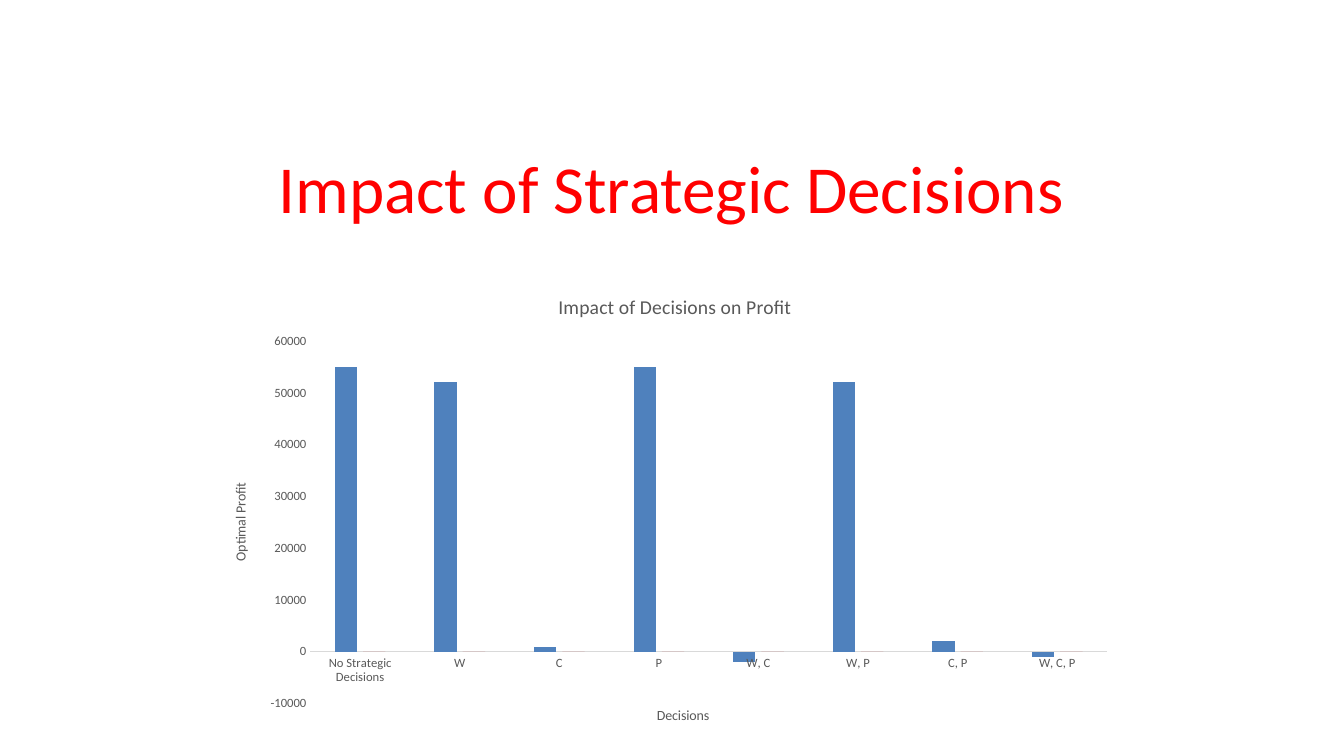
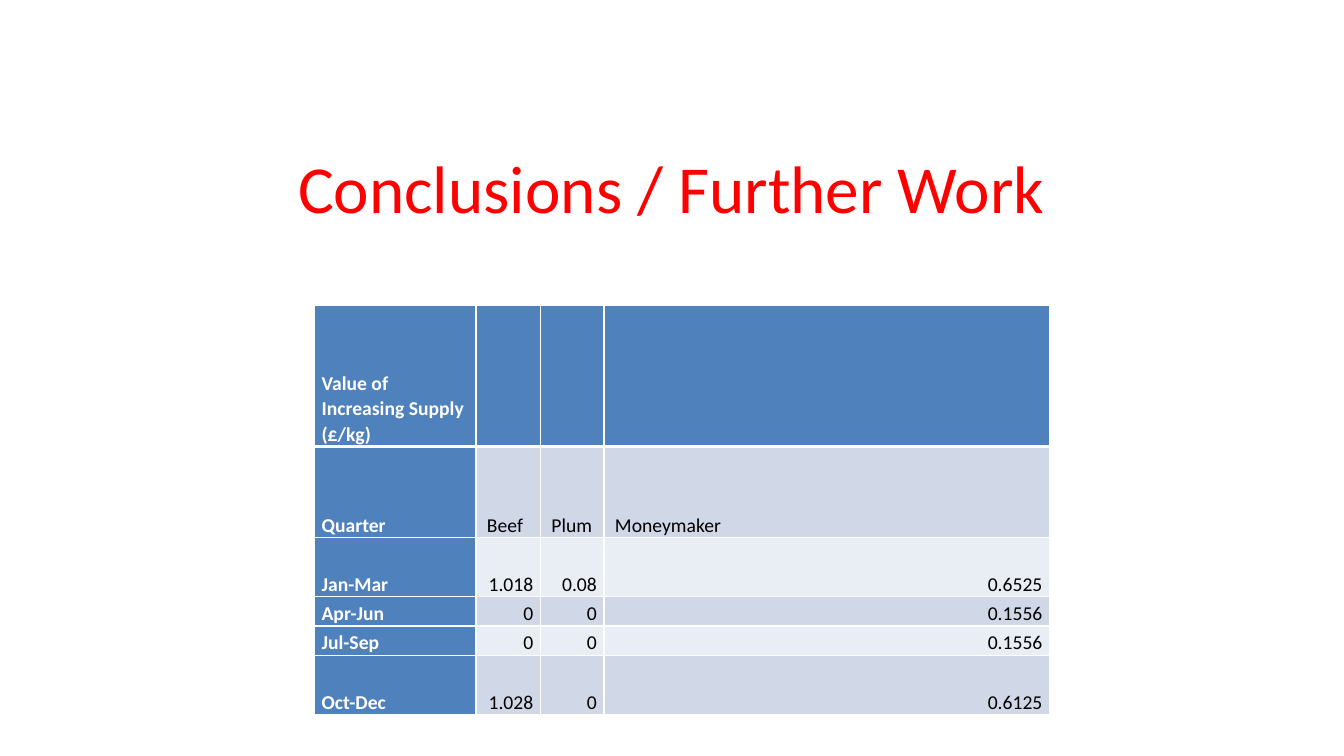
import pptx
import pptx.chart.data
import pptx.dml.color
import pptx.enum.chart
import pptx.enum.text
import pptx.oxml
import pptx.oxml.ns
import pptx.util
from lxml import etree

Inches = pptx.util.Inches
Pt = pptx.util.Pt
Color = pptx.dml.color.RGBColor.from_string
Align = pptx.enum.text.PP_ALIGN
Anchor = pptx.enum.text.MSO_ANCHOR
qn = pptx.oxml.ns.qn


class Theme:
    font = "Calibri"
    title = {"name": font, "size": Pt(48), "bold": False, "color": "FF0000"}
    chart_title = {"name": font, "size": Pt(14), "bold": False, "color": "595959"}
    axis_title = chart_title | {"size": Pt(10)}
    axis_labels = chart_title | {"size": Pt(9)}
    table_body = {"name": font, "size": Pt(14), "bold": False, "color": "000000"}
    table_head = table_body | {"bold": True, "color": "FFFFFF"}
    accent = "4F81BD"
    second = "C0504D"
    axis_line = "D9D9D9"
    bands = ("D0D8E8", "E9EDF4")
    border = "FFFFFF"


def set_font(font, style):
    for name, value in style.items():
        if name == "color":
            font.color.rgb = Color(value)
        else:
            setattr(font, name, value)


def place_in_chart(element, position, **values):
    """Give a chart part a manual layout, as fractions of the chart."""
    old_layout = element.find(qn("c:layout"))
    if old_layout is not None:
        element.remove(old_layout)
    layout = etree.Element(qn("c:layout"))
    manual = etree.SubElement(layout, qn("c:manualLayout"))
    for name, value in values.items():
        etree.SubElement(manual, qn(f"c:{name}")).set("val", str(value))
    element.insert(position, layout)


presentation = pptx.Presentation()
presentation.slide_width = Inches(13.33)
presentation.slide_height = Inches(7.5)

# Slides and their shared title
slides = []
for title in ("Impact of Strategic Decisions", "Conclusions / Further Work"):
    slide = presentation.slides.add_slide(presentation.slide_layouts[6])
    title_box = slide.shapes.add_textbox(Inches(0.65), Inches(1.3), Inches(12.02), Inches(1.11))
    frame = title_box.text_frame
    frame.word_wrap = True
    frame.vertical_anchor = Anchor.MIDDLE
    paragraph = frame.paragraphs[0]
    paragraph.text = title
    paragraph.alignment = Align.CENTER
    set_font(paragraph.runs[0].font, Theme.title)
    slides.append(slide)
chart_slide, table_slide = slides

# Profit chart
profits = [55000, 52000, 1000, 55000, -2000, 52000, 2000, -1000]
chart_data = pptx.chart.data.CategoryChartData()
chart_data.categories = ["No Strategic Decisions", "W", "C", "P", "W, C", "W, P", "C, P", "W, C, P"]
chart_data.add_series("Series 1", profits)
chart_data.add_series("Series 2", [0] * len(profits))
chart = chart_slide.shapes.add_chart(
    pptx.enum.chart.XL_CHART_TYPE.COLUMN_CLUSTERED,
    Inches(2.18), Inches(2.6), Inches(8.98), Inches(4.62), chart_data,
).chart
chart.has_legend = False
set_font(chart.font, Theme.axis_labels)

plot = chart.plots[0]
plot.gap_width = 219
plot.overlap = -27
plot.vary_by_categories = False
for series, color in zip(plot.series, (Theme.accent, Theme.second)):
    series.format.fill.solid()
    series.format.fill.fore_color.rgb = Color(color)
    series.invert_if_negative = False

value_axis, category_axis = chart.value_axis, chart.category_axis
for axis in (value_axis, category_axis):
    axis.has_major_gridlines = False
    axis.major_tick_mark = pptx.enum.chart.XL_TICK_MARK.NONE
    axis.minor_tick_mark = pptx.enum.chart.XL_TICK_MARK.NONE
    set_font(axis.tick_labels.font, Theme.axis_labels)
value_axis.minimum_scale = -10000
value_axis.maximum_scale = 60000
value_axis.major_unit = 10000
value_axis.format.line.fill.background()
category_axis.format.line.color.rgb = Color(Theme.axis_line)
category_axis.format.line.width = Pt(0.75)

chart_titles = [
    (chart.chart_title, "Impact of Decisions on Profit", Theme.chart_title, 0.37, 0.06),
    (value_axis.axis_title, "Optimal Profit", Theme.axis_title, 0.01, 0.47),
    (category_axis.axis_title, "Decisions", Theme.axis_title, 0.48, 0.95),
]
for chart_title, text, style, left, top in chart_titles:
    paragraph = chart_title.text_frame.paragraphs[0]
    run = paragraph.add_run()
    run.text = text
    set_font(run.font, style)
    place_in_chart(chart_title._element, 1, xMode="edge", yMode="edge", x=left, y=top)
value_body = value_axis.axis_title._element.find(".//" + qn("a:bodyPr"))
value_body.set("rot", "-5400000")
value_body.set("vert", "horz")

plot_area = chart._chartSpace.find(".//" + qn("c:plotArea"))
place_in_chart(plot_area, 0, layoutTarget="inner", xMode="edge", yMode="edge",
               x=0.1, y=0.17, w=0.88, h=0.78)

# Supply value table
rows = [
    ("Value of Increasing Supply (£/kg)", "", "", ""),
    ("Quarter", "Beef", "Plum", "Moneymaker"),
    ("Jan-Mar", "1.018", "0.08", "0.6525"),
    ("Apr-Jun", "0", "0", "0.1556"),
    ("Jul-Sep", "0", "0", "0.1556"),
    ("Oct-Dec", "1.028", "0", "0.6125"),
]
column_widths = (1.6, 0.64, 0.63, 4.42)
row_heights = (1.4, 0.9, 0.59, 0.29, 0.29, 0.59)
table = table_slide.shapes.add_table(
    len(rows), len(column_widths), Inches(3.12), Inches(3.03),
    Inches(sum(column_widths)), Inches(sum(row_heights)),
).table
for column, width in zip(table.columns, column_widths):
    column.width = Inches(width)
for row, height in zip(table.rows, row_heights):
    row.height = Inches(height)

for row_index, texts in enumerate(rows):
    for column_index, text in enumerate(texts):
        cell = table.cell(row_index, column_index)
        is_head = row_index == 0 or column_index == 0
        is_label = row_index == 1 and column_index > 0
        cell_format = {
            "text": text,
            "vertical_anchor": Anchor.BOTTOM,
            "margin_left": Inches(0.11 if is_label else 0.07),
            "margin_right": Inches(0.07),
            "margin_top": 0,
            "margin_bottom": 0,
        }
        for name, value in cell_format.items():
            setattr(cell, name, value)

        paragraph = cell.text_frame.paragraphs[0]
        paragraph.line_spacing = 1.07
        paragraph.space_after = Pt(8)
        paragraph.alignment = Align.LEFT if is_head or is_label else Align.RIGHT
        set_font(paragraph.font, Theme.table_head if is_head else Theme.table_body)
        for run in paragraph.runs:
            set_font(run.font, Theme.table_head if is_head else Theme.table_body)

        properties = cell._tc.get_or_add_tcPr()
        for side in "LRTB":
            under_header = (row_index, side) in ((0, "B"), (1, "T"))
            line = etree.SubElement(properties, qn(f"a:ln{side}"))
            line.set("w", str(Pt(3 if under_header else 1)))
            line_fill = etree.SubElement(line, qn("a:solidFill"))
            etree.SubElement(line_fill, qn("a:srgbClr")).set("val", Theme.border)
        cell.fill.solid()
        cell.fill.fore_color.rgb = Color(Theme.accent if is_head else Theme.bands[(row_index - 1) % 2])

presentation.save("out.pptx")
